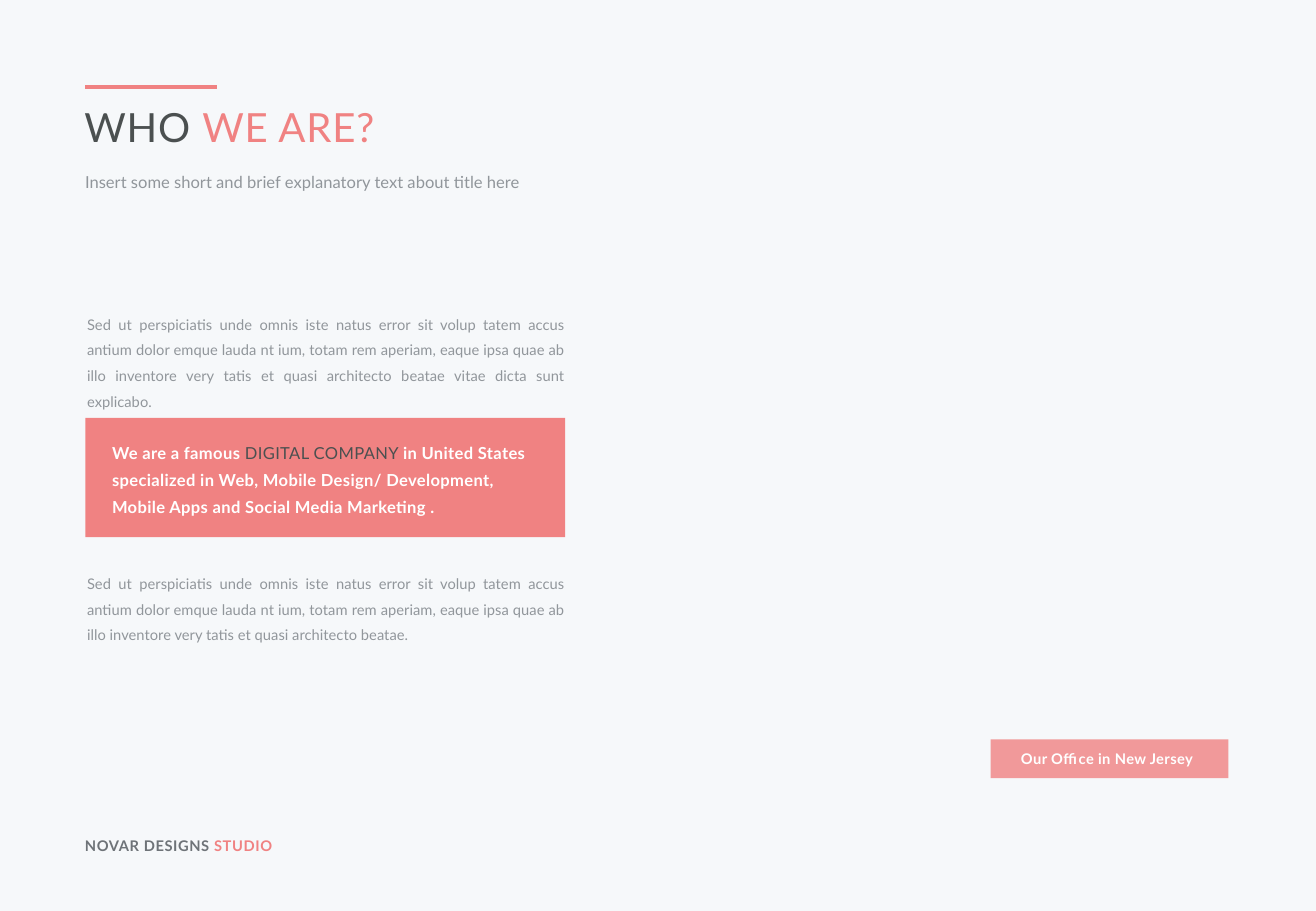
from dataclasses import dataclass
from lxml import etree
from pptx import Presentation
from pptx.dml.color import RGBColor
from pptx.enum.shapes import MSO_CONNECTOR, MSO_SHAPE
from pptx.enum.text import MSO_ANCHOR, MSO_AUTO_SIZE, PP_ALIGN
from pptx.oxml.ns import qn
from pptx.util import Pt

LEFT, MID, JUST = PP_ALIGN.LEFT, PP_ALIGN.CENTER, PP_ALIGN.JUSTIFY
TOP, CENTER = MSO_ANCHOR.TOP, MSO_ANCHOR.MIDDLE
FIXED = MSO_AUTO_SIZE.NONE
RECT, LINE = MSO_SHAPE.RECTANGLE, MSO_CONNECTOR.STRAIGHT


@dataclass(frozen=True)
class Theme:
    font: str = "Lato"
    back: str = "F6F8FA"
    coral: str = "F08282"
    dark: str = "4B5050"
    slate: str = "6E7378"
    grey: str = "91969B"
    white: str = "FFFFFF"
    head: float = 23.8
    lead: float = 9.8
    text: float = 8.7


T = Theme()
COPY = ("Sed ut perspiciatis unde omnis iste natus error sit volup tatem accus "
        "antium dolor emque lauda nt ium, totam rem aperiam, eaque ipsa quae ab "
        "illo inventore very tatis et quasi architecto beatae")


def rgb(color):
    return RGBColor.from_string(color)


def place(shape, x, y, w, h):
    shape.left, shape.top, shape.width, shape.height = Pt(x), Pt(y), Pt(w), Pt(h)


def write(shape, runs, size, align=LEFT, line=None, track=0,
          inset=(0, 0, 0, 0), anchor=TOP):
    """Fill a shape with runs of (text, color, bold)."""
    frame = shape.text_frame
    frame.word_wrap, frame.auto_size = True, FIXED
    frame.vertical_anchor = anchor
    (frame.margin_left, frame.margin_top,
     frame.margin_right, frame.margin_bottom) = map(Pt, inset)
    para = frame.paragraphs[0]
    para.alignment, para.space_before = align, Pt(0)
    para.font.name, para.font.size = T.font, Pt(size)
    if line:
        para.line_spacing = Pt(line)
    for words, color, bold in runs:
        run = para.add_run()
        run.text = words
        run.font.bold = bold
        run.font.color.rgb = rgb(color)
        if track:
            run.font._element.set("spc", str(round(track * 100)))


def add_text(slide, box, runs, size, **style):
    shape = slide.shapes.add_textbox(*map(Pt, box))
    write(shape, runs, size, **style)


def add_block(slide, box, alpha=100):
    block = slide.shapes.add_shape(RECT, *map(Pt, box))
    block.shadow.inherit = False
    block.fill.solid()
    block.fill.fore_color.rgb = rgb(T.coral)
    block.line.fill.background()
    if alpha < 100:
        tint = block._element.spPr.find(qn("a:solidFill"))[0]
        etree.SubElement(tint, qn("a:alpha"), val=str(alpha * 1000))
    return block


def add_head(slide, x, y, w):
    # Accent rule
    rule = slide.shapes.add_connector(LINE, Pt(x), Pt(y), Pt(x + 78.5), Pt(y))
    rule.line.color.rgb, rule.line.width = rgb(T.coral), Pt(2.25)
    etree.SubElement(rule._element.spPr, qn("a:effectLst"))
    # Title and lead
    title, lead = slide.shapes.title, slide.placeholders[1]
    place(title, x - 0.4, y + 8.7, w, 40)
    write(title, [("WHO ", T.dark, False), ("WE ARE?", T.coral, False)],
          T.head, track=0.5)
    place(lead, x, y + 49, w, 15)
    write(lead, [("Insert some short and brief explanatory text about title here",
                  T.grey, False)], T.lead, line=13)


def add_about(slide, x, y, w):
    # Body copy above and below the banner
    for drop, end in ((0, " vitae dicta sunt explicabo."), (153.8, ".")):
        add_text(slide, (x + 1.2, y + drop, w - 1.2, 46),
                 [(COPY + end, T.grey, False)], T.text, align=JUST, line=15.2)
    # Banner
    banner = add_block(slide, (x + 0.2, y + 65.4, w, 70.8))
    write(banner, [("We are a famous ", T.white, True),
                   ("DIGITAL COMPANY ", T.dark, False),
                   ("in United States specialized in Web, Mobile Design/ "
                    "Development, Mobile Apps and Social Media Marketing .",
                    T.white, True)],
          T.lead, line=16.2, track=0.2, inset=(15.8, 10.2, 11.5, 0))


def add_label(slide, x, y, w, h):
    label = add_block(slide, (x, y, w, h), alpha=80)
    write(label, [("Our Office in New Jersey", T.white, True)], T.text,
          align=MID, track=0.2, inset=(0, 0, 3, 0), anchor=CENTER)


def add_foot(slide, x, y, w):
    add_text(slide, (x, y, w, 11), [("NOVAR DESIGNS ", T.slate, True),
                                    ("STUDIO", T.coral, True)],
             T.text, track=0.3)


def main():
    deck = Presentation()
    deck.slide_width, deck.slide_height = Pt(780), Pt(540)
    slide = deck.slides.add_slide(deck.slide_layouts[2])
    slide.background.fill.solid()
    slide.background.fill.fore_color.rgb = rgb(T.back)
    edge, wide = 50.4, 284.4
    add_head(slide, edge, 51.8, wide)
    add_about(slide, edge, 182.3, wide)
    add_label(slide, 587.2, 438.2, 141, 23)
    add_foot(slide, edge, 496, 152)
    deck.save("out.pptx")


if __name__ == "__main__":
    main()
